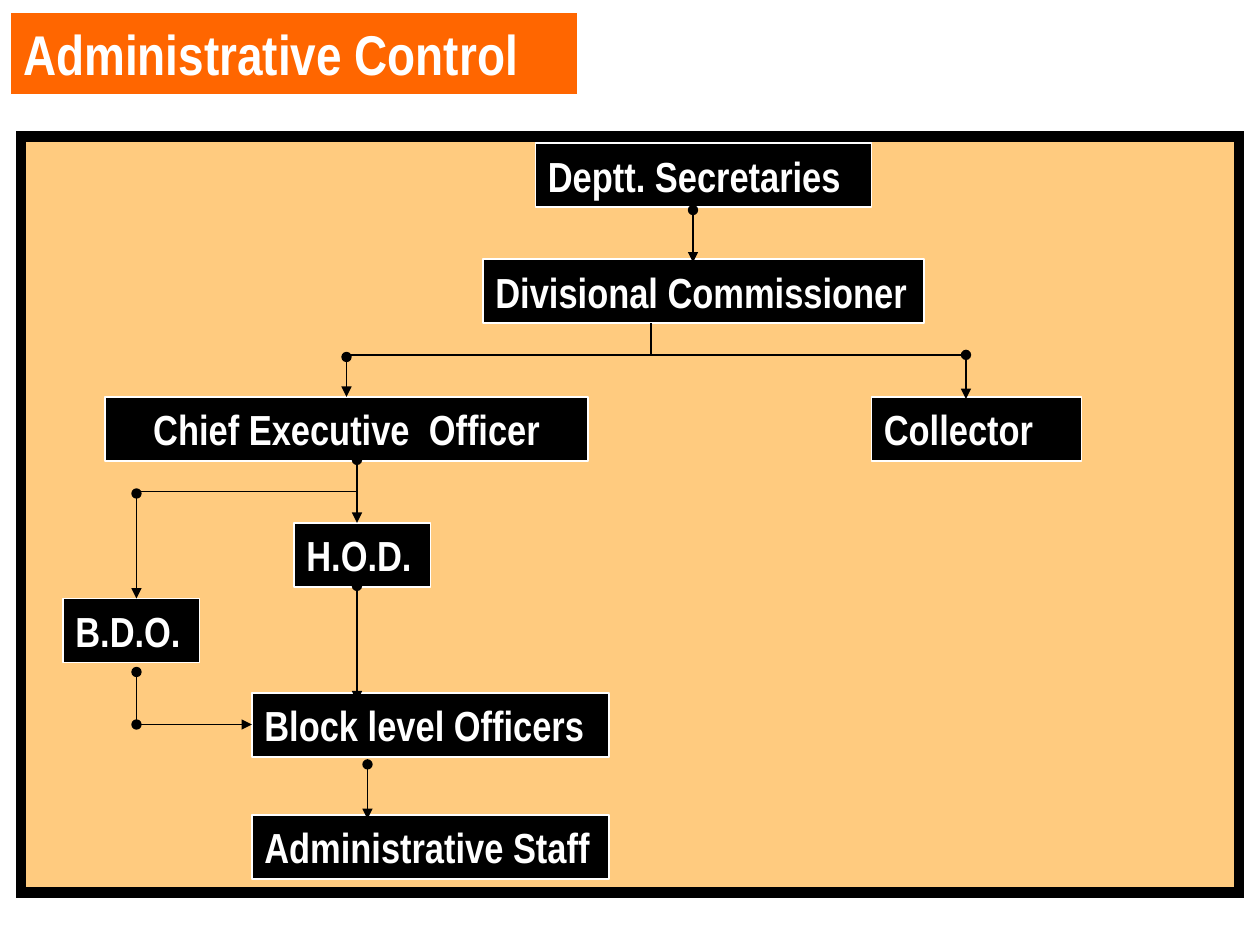
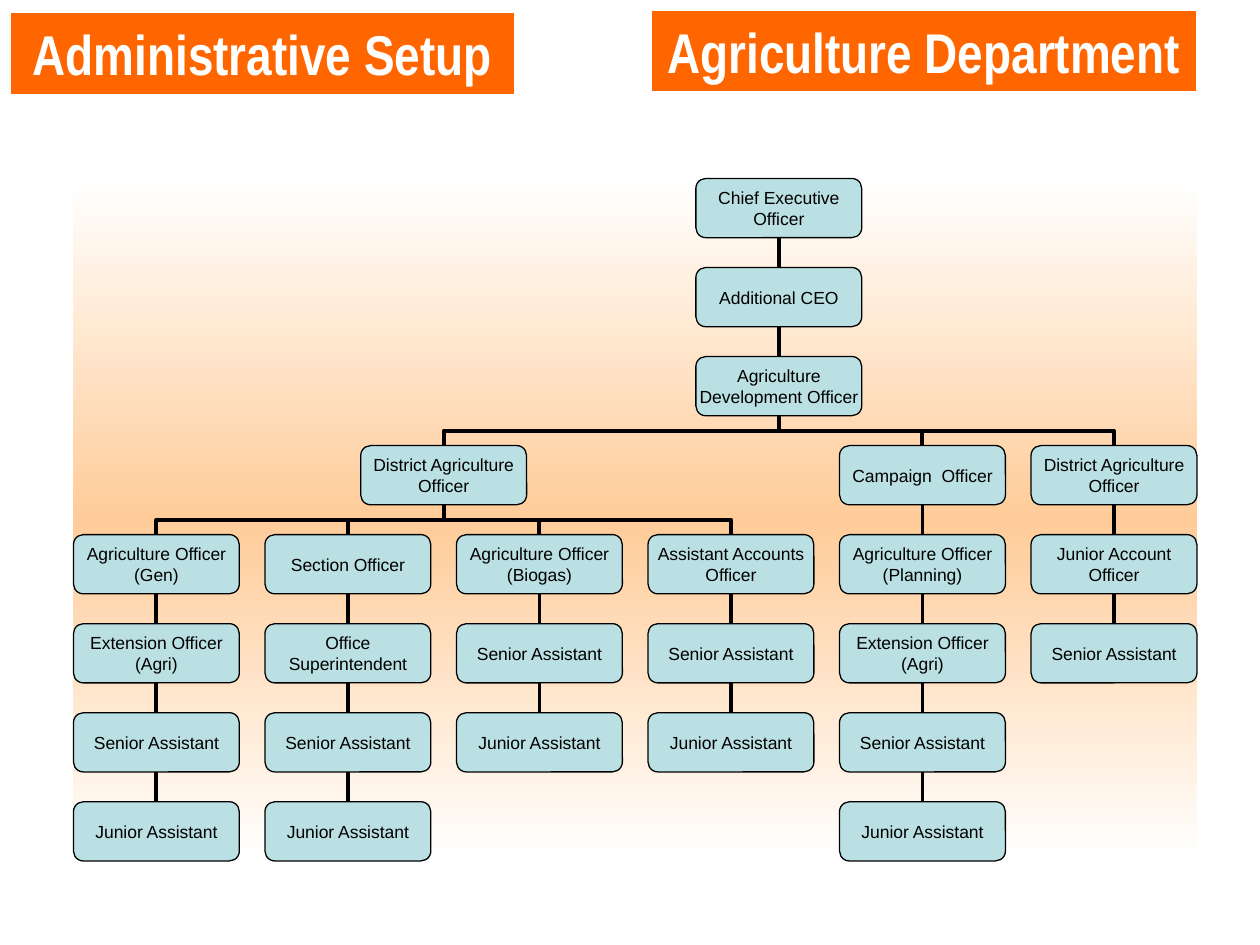
"""Build two slides on administrative control and the agriculture department setup."""
from copy import deepcopy
from lxml import etree
from pptx import Presentation
from pptx import util as u
from pptx.dml.color import RGBColor
from pptx.enum import shapes, text
from pptx.oxml.ns import qn

ORANGE, BLACK, WHITE, PALE, TEAL = "FF6600", "000000", "FFFFFF", "FFCC99", "BBE0E3"
LEFT, CENTER = text.PP_ALIGN.LEFT, text.PP_ALIGN.CENTER
rgb = RGBColor.from_string

prs = Presentation()
prs.slide_width, prs.slide_height = u.Inches(10), u.Inches(7.5)
CELL = prs.slide_width / 120


def style_box(sp, cells, words="", fill=BLACK, edge=WHITE, weight=1, size=24,
              font="Arial Narrow", color=WHITE, align=LEFT, inset=0.1):
    sp.left, sp.top, sp.width, sp.height = [int(c * CELL) for c in cells]
    sp.shadow.inherit = False
    sp.fill.solid()
    sp.fill.fore_color.rgb = rgb(fill)
    sp.line.color.rgb = rgb(edge)
    sp.line.width = u.Pt(weight)
    tf = sp.text_frame
    tf.text = words
    tf.word_wrap, tf.auto_size = True, text.MSO_AUTO_SIZE.NONE
    tf.vertical_anchor = text.MSO_ANCHOR.MIDDLE
    tf.margin_left = tf.margin_right = u.Inches(inset)
    tf.margin_top = tf.margin_bottom = u.Inches(inset / 2)
    p = tf.paragraphs[0]
    p.alignment = align
    for r in p.runs:
        r.font.name, r.font.size = font, u.Pt(size)
        r.font.bold = font == "Arial Narrow"
        r.font.color.rgb = rgb(color)
    return sp


def style_line(cn, weight, head=None, tail=None):
    cn.line.color.rgb = rgb(BLACK)
    cn.line.width = u.Pt(weight)
    for tag, kind in (("a:headEnd", head), ("a:tailEnd", tail)):
        if kind:
            etree.SubElement(cn.line._get_or_add_ln(), qn(tag), type=kind)
    etree.SubElement(cn._element.spPr, qn("a:effectLst"))


RECT, ROUND = shapes.MSO_SHAPE.RECTANGLE, shapes.MSO_SHAPE.ROUNDED_RECTANGLE
STRAIGHT, ELBOW = shapes.MSO_CONNECTOR.STRAIGHT, shapes.MSO_CONNECTOR.ELBOW
title_only = prs.slide_layouts[5]

s = prs.slides.add_slide(title_only)
style_box(s.shapes.title, (1, 1.2, 54, 7.8), "Administrative Control", ORANGE, size=32)
panel = style_box(s.shapes.add_shape(RECT, 0, 0, 0, 0), (2, 13, 116, 72),
                  fill="FF9900", edge=BLACK, weight=6)
tint = panel._element.spPr.find(qn("a:solidFill"))[0]
etree.SubElement(tint, qn("a:alpha"), val="50000")
etree.SubElement(panel.line._get_or_add_ln(), qn("a:miter"), lim="800000")

posts = [
    ("Deptt. Secretaries", 51, 13.65, 32, LEFT),
    ("Divisional Commissioner", 46, 24.7, 42, LEFT),
    ("Chief Executive  Officer", 10, 37.8, 46, CENTER),
    ("Collector", 83, 37.8, 20, LEFT),
    ("H.O.D.", 28, 49.8, 13, LEFT),
    ("B.D.O.", 6, 57, 13, LEFT),
    ("Block level Officers", 24, 66, 34, LEFT),
    ("Administrative Staff", 24, 77.6, 34, LEFT),
]
for words, x, y, w, align in posts:
    style_box(s.shapes.add_shape(RECT, 0, 0, 0, 0), (x, y, w, 6.1), words, align=align)

DOT, ARROW = "oval", "triangle"
links = [
    (66, 20, 66, 25, DOT, ARROW),
    (62, 30.8, 62, 33.8, None, None),
    (33, 33.8, 92, 33.8, None, None),
    (33, 34, 33, 37.8, DOT, ARROW),
    (92, 33.8, 92, 38, DOT, ARROW),
    (34, 43.8, 34, 49.8, DOT, ARROW),
    (34, 46.8, 13, 46.8, None, None),
    (13, 47, 13, 57, DOT, ARROW),
    (34, 55.8, 34, 66.8, DOT, ARROW),
    (13, 64, 13, 69, DOT, None),
    (13, 69, 24, 69, DOT, ARROW),
    (35, 72.8, 35, 78, DOT, ARROW),
]
for *ends, head, tail in links:
    cn = s.shapes.add_connector(STRAIGHT, *[int(e * CELL) for e in ends])
    style_line(cn, 1, head, tail)

s = prs.slides.add_slide(title_only)
style_box(s.shapes.title, (1, 1.2, 48, 7.8), "Administrative Setup", ORANGE,
          size=32, align=CENTER)
style_box(s.shapes.add_shape(RECT, 0, 0, 0, 0), (62, 1, 52, 7.8),
          "Agriculture Department", ORANGE, size=32, align=CENTER)

X, Y, W, H = 7, 17, 107, 65
BOX_W, BOX_H = 15.8, 5.64
COL, ROW = (W - BOX_W) / 5, (H - BOX_H) / 7
glow = style_box(s.shapes.add_shape(RECT, 0, 0, 0, 0), (X, Y, W, H))
glow.line.fill.background()
glow.fill.gradient()
glow.fill.gradient_angle = 270
stops = glow._element.spPr.find(qn("a:gradFill")).find(qn("a:gsLst"))
stops.insert(1, deepcopy(stops[0]))
for stop, place, color in zip(glow.fill.gradient_stops, (0, 0.5, 1), (WHITE, PALE, WHITE)):
    stop.position, stop.color.rgb = place, rgb(color)

SENIOR, JUNIOR = "Senior Assistant", "Junior Assistant"
DISTRICT = "District Agriculture Officer"
chains = [
    (3.25, 0, None, ["Chief Executive Officer", "Additional CEO",
                     "Agriculture Development Officer"]),
    (1.5, 3, (3.25, 2), [DISTRICT]),
    (4, 3, (3.25, 2), ["Campaign  Officer", "Agriculture Officer (Planning)",
                       "Extension Officer (Agri)", SENIOR, JUNIOR]),
    (5, 3, (3.25, 2), [DISTRICT, "Junior Account Officer", SENIOR]),
    (0, 4, (1.5, 3), ["Agriculture Officer (Gen)", "Extension Officer (Agri)", SENIOR, JUNIOR]),
    (1, 4, (1.5, 3), ["Section Officer", "Office Superintendent", SENIOR, JUNIOR]),
    (2, 4, (1.5, 3), ["Agriculture Officer (Biogas)", SENIOR, JUNIOR]),
    (3, 4, (1.5, 3), ["Assistant Accounts Officer", SENIOR, JUNIOR]),
]
boxes = {}
for col, first, boss, names in chains:
    for row, words in enumerate(names, first):
        sp = style_box(s.shapes.add_shape(ROUND, 0, 0, 0, 0),
                       (X + col * COL, Y + row * ROW, BOX_W, BOX_H), words, TEAL,
                       BLACK, 0.75, 10, "Arial", BLACK, CENTER, 0)
        boxes[col, row] = sp
        if boss:
            above = boxes[boss]
            shift = above.left - sp.left
            cn = s.shapes.add_connector(ELBOW if shift else STRAIGHT, 0, 0, 0, 0)
            cn.begin_connect(sp, 0)
            cn.end_connect(above, 2)
            if shift:
                gap, span = sp.top - above.top - above.height, abs(shift)
                cn.left = sp.left + (sp.width + shift - gap) // 2
                cn.top = sp.top - (gap + span) // 2
                cn.width, cn.height = gap, span
                xfrm = cn._element.spPr.find(qn("a:xfrm"))
                xfrm.set("rot", str((270 if shift > 0 else 90) * 60000))
                xfrm.set("flipH", "0" if shift > 0 else "1")
                xfrm.set("flipV", "0")
            style_line(cn, 2.25)
        boss = col, row

prs.save("out.pptx")
